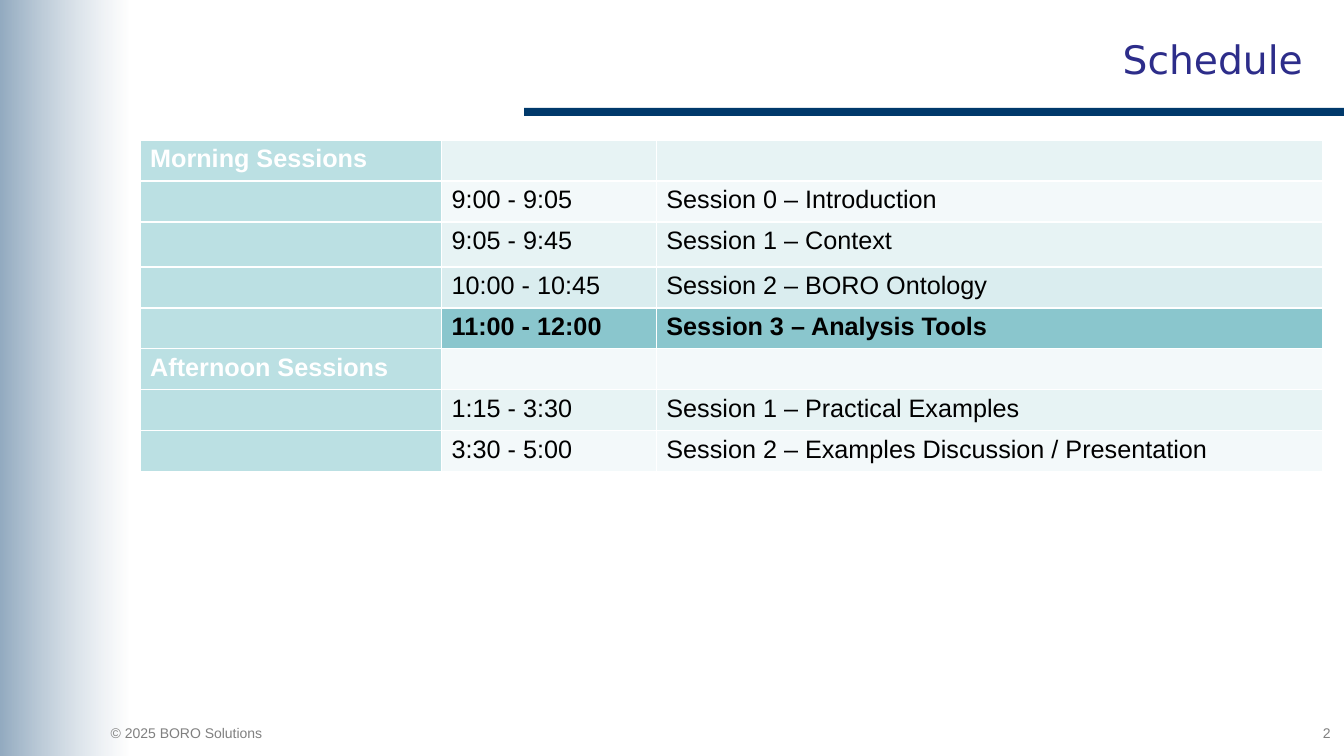
from dataclasses import dataclass
from typing import NamedTuple, Optional

from lxml import etree
from pptx import Presentation, util as u
from pptx.dml.color import RGBColor
from pptx.enum import shapes, text
from pptx.oxml import ns
from pptx.slide import Slide


@dataclass(frozen=True)
class Theme:
    navy: str = "00396B"
    band: str = "01396C"
    title: str = "2D2D8A"
    muted: str = "808080"
    ink: str = "000000"
    white: str = "FFFFFF"
    heading_fill: str = "BBE0E3"
    current_fill: str = "8AC6CD"
    odd_fill: str = "E7F3F4"
    even_fill: str = "F3F9FA"
    soft_fill: str = "DAEDEF"
    body_font: str = "Arial"
    title_font: str = "DejaVu Sans"
    title_size: int = 28
    table_size: int = 18
    footer_size: int = 10
    border_width: int = 1


class Box(NamedTuple):
    left: float
    top: float
    width: float
    height: float


class Stop(NamedTuple):
    color: str
    opacity: int


class Panel(NamedTuple):
    box: Box
    stops: tuple[Stop, ...]


class Style(NamedTuple):
    font: str
    size: int
    color: str
    bold: bool = False
    align: text.PP_ALIGN = text.PP_ALIGN.LEFT


class Label(NamedTuple):
    wording: str
    box: Box
    style: Style
    anchor: text.MSO_ANCHOR = text.MSO_ANCHOR.TOP


class Session(NamedTuple):
    fill: str
    heading: str = ""
    time: str = ""
    topic: str = ""
    current: bool = False
    height: float = 5.42


THEME = Theme()
SLIDE_WIDTH = u.Inches(13.33)
SLIDE_HEIGHT = u.Inches(7.5)
SIDE_BAND = Box(0, 0, 9.53, 100)
SCHEDULE_LEFT, SCHEDULE_TOP = 10.43, 18.53
SCHEDULE_COLUMNS = (22.43, 15.98, 49.58)

PANELS = (
    Panel(Box(39, 14.27, 61, 1.07), (Stop(THEME.navy, 100),)),
    Panel(SIDE_BAND, (Stop(THEME.band, 61), Stop(THEME.white, 41))),
    Panel(SIDE_BAND, (Stop(THEME.white, 30),)),
)

LABELS = (
    Label("© 2025 BORO Solutions", Box(7.5, 95.2, 18.9, 3.6),
          Style(THEME.body_font, THEME.footer_size, THEME.muted)),
    Label("Schedule", Box(9.23, 2, 88.43, 11.6),
          Style(THEME.title_font, THEME.title_size, THEME.title, align=text.PP_ALIGN.RIGHT),
          text.MSO_ANCHOR.MIDDLE),
    Label("2", Box(90.15, 95.2, 9.6, 4.13),
          Style(THEME.body_font, THEME.footer_size, THEME.muted, align=text.PP_ALIGN.RIGHT)),
)

SESSIONS = (
    Session(THEME.odd_fill, heading="Morning Sessions"),
    Session(THEME.even_fill, time="9:00 - 9:05", topic="Session 0 – Introduction"),
    Session(THEME.odd_fill, time="9:05 - 9:45", topic="Session 1 – Context", height=5.95),
    Session(THEME.soft_fill, time="10:00 - 10:45", topic="Session 2 – BORO Ontology"),
    Session(THEME.current_fill, time="11:00 - 12:00", topic="Session 3 – Analysis Tools",
            current=True),
    Session(THEME.even_fill, heading="Afternoon Sessions"),
    Session(THEME.odd_fill, time="1:15 - 3:30", topic="Session 1 – Practical Examples"),
    Session(THEME.even_fill, time="3:30 - 5:00",
            topic="Session 2 – Examples Discussion / Presentation"),
)


def across(percent: float) -> int:
    return round(SLIDE_WIDTH * percent / 100)


def down(percent: float) -> int:
    return round(SLIDE_HEIGHT * percent / 100)


def place(box: Box) -> tuple[int, int, int, int]:
    return across(box.left), down(box.top), across(box.width), down(box.height)


def write(paragraph, wording: str, style: Style) -> None:
    paragraph.text = wording
    paragraph.alignment = style.align
    paragraph.font.name = style.font
    paragraph.font.size = u.Pt(style.size)
    paragraph.font.bold = style.bold
    paragraph.font.color.rgb = RGBColor.from_string(style.color)


def draw_panel(slide: Slide, panel: Panel) -> None:
    rectangle = slide.shapes.add_shape(shapes.MSO_SHAPE.RECTANGLE, *place(panel.box))
    rectangle.shadow.inherit = False
    rectangle.line.fill.background()
    fill = rectangle.fill
    if len(panel.stops) > 1:
        fill.gradient()
        fill.gradient_angle = 0
        colors = [stop.color for stop in fill.gradient_stops]
    else:
        fill.solid()
        colors = [fill.fore_color]
    for color, stop in zip(colors, panel.stops):
        color.rgb = RGBColor.from_string(stop.color)
    tones = rectangle.fill._xPr.iter(ns.qn("a:srgbClr"))
    for tone, stop in zip(tones, panel.stops):
        if stop.opacity < 100:
            etree.SubElement(tone, ns.qn("a:alpha"), val=str(stop.opacity * 1000))


def draw_label(slide: Slide, label: Label) -> None:
    frame = slide.shapes.add_textbox(*place(label.box)).text_frame
    frame.word_wrap = True
    frame.vertical_anchor = label.anchor
    write(frame.paragraphs[0], label.wording, label.style)


def fill_cell(cell, wording: str, fill: str, style: Optional[Style]) -> None:
    cell.fill.solid()
    cell.fill.fore_color.rgb = RGBColor.from_string(fill)
    properties = cell._tc.get_or_add_tcPr()
    for position, side in enumerate("LRTB"):
        border = etree.Element(ns.qn(f"a:ln{side}"), w=str(u.Pt(THEME.border_width)))
        paint = etree.SubElement(border, ns.qn("a:solidFill"))
        etree.SubElement(paint, ns.qn("a:srgbClr"), val=THEME.white)
        properties.insert(position, border)
    write(cell.text_frame.paragraphs[0], wording, style)


def draw_schedule(slide: Slide, sessions: tuple[Session, ...]) -> None:
    box = Box(SCHEDULE_LEFT, SCHEDULE_TOP, sum(SCHEDULE_COLUMNS),
              sum(session.height for session in sessions))
    schedule = slide.shapes.add_table(len(sessions), len(SCHEDULE_COLUMNS), *place(box)).table
    schedule.first_row = schedule.horz_banding = False
    for column, width in zip(schedule.columns, SCHEDULE_COLUMNS):
        column.width = across(width)
    heading_style = Style(THEME.body_font, THEME.table_size, THEME.white, bold=True)
    for row, session in zip(schedule.rows, sessions):
        row.height = down(session.height)
        style = Style(THEME.body_font, THEME.table_size, THEME.ink, session.current)
        heading, time, topic = row.cells
        fill_cell(heading, session.heading, THEME.heading_fill, heading_style)
        fill_cell(time, session.time, session.fill, style)
        fill_cell(topic, session.topic, session.fill, style)


def main() -> None:
    deck = Presentation()
    deck.slide_width, deck.slide_height = SLIDE_WIDTH, SLIDE_HEIGHT
    slide = deck.slides.add_slide(deck.slide_layouts[6])
    for panel in PANELS:
        draw_panel(slide, panel)
    for label in LABELS:
        draw_label(slide, label)
    draw_schedule(slide, SESSIONS)
    deck.save("out.pptx")


if __name__ == "__main__":
    main()
